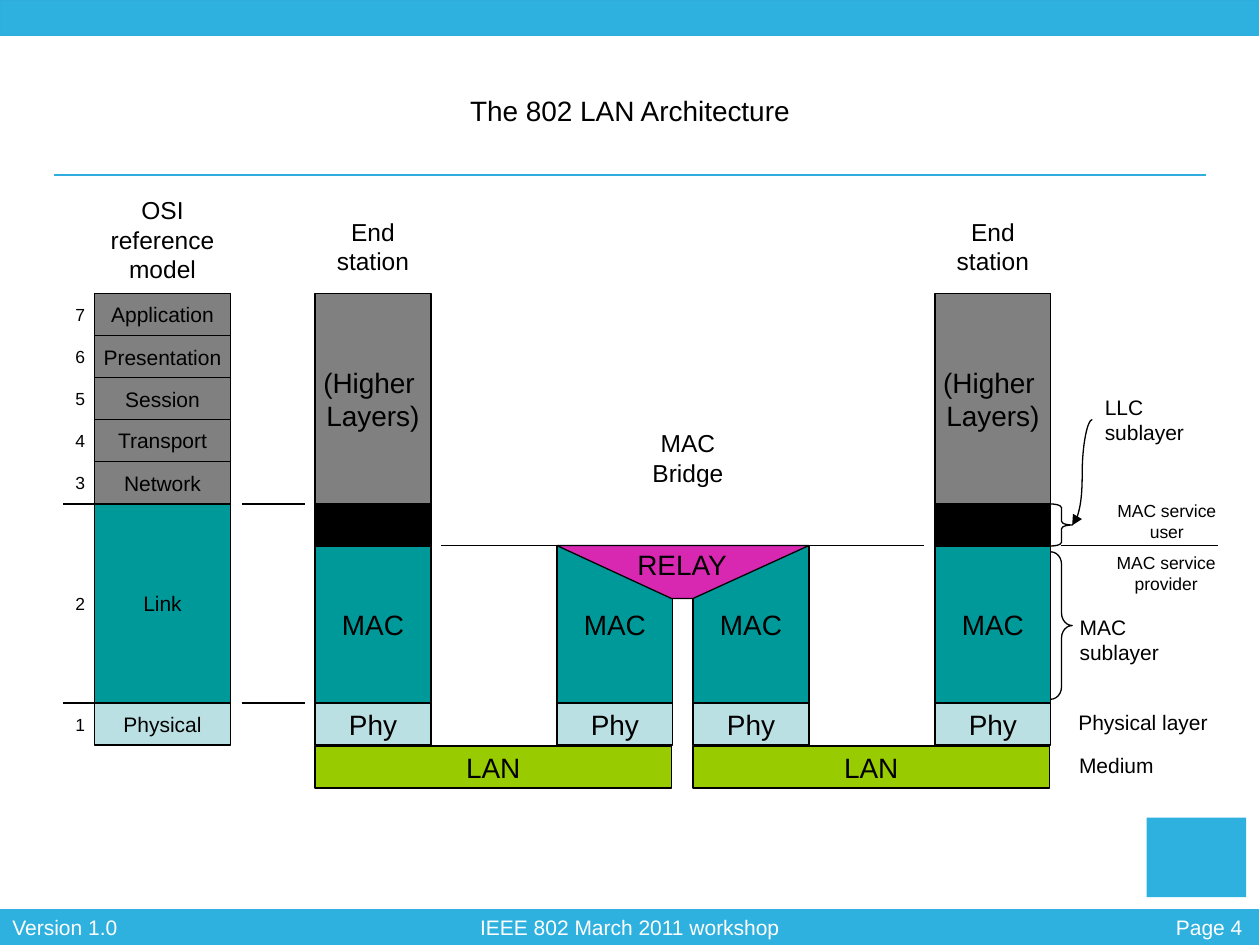
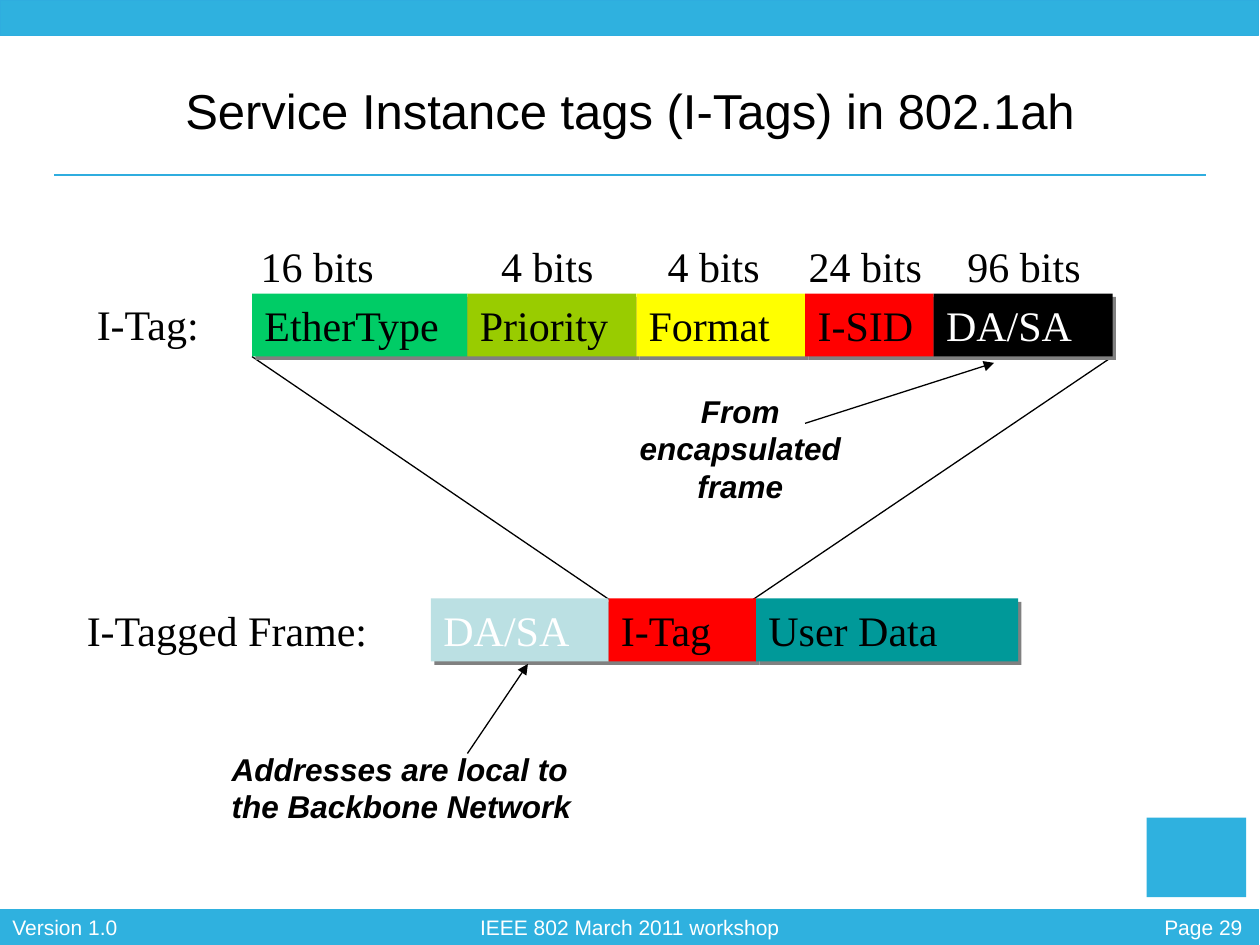
from pptx import Presentation
from pptx.dml.color import RGBColor
from pptx.enum.shapes import MSO_CONNECTOR, MSO_SHAPE
from pptx.enum.text import MSO_ANCHOR, PP_ALIGN
from pptx.oxml.xmlchemy import OxmlElement
from pptx.util import Inches, Pt

COLORS = {
    "band": "2FB1DF", "rule": "2FADDF", "black": "000000", "white": "FFFFFF",
    "higher": "808080", "teal": "009999", "pale": "BBE0E3", "lime": "99CC00",
    "relay": "D828B2", "green": "00CC66", "yellow": "FFFF00", "red": "FF0000",
    "shadow": "808080",
}
SANS, SERIF = "Arial", "Times New Roman"
LEFT, CENTER, RIGHT = PP_ALIGN.LEFT, PP_ALIGN.CENTER, PP_ALIGN.RIGHT

# Layer grid of the architecture page
ROW = 1 / 3
STACK_TOP, LLC_TOP, MAC_TOP, PHY_TOP, LAN_TOP = 2.33, 4, 4.33, 5.58, 5.92
OSI_LEFT, OSI_WIDTH = 0.75, 1.08
STATION_LEFTS, PORT_LEFTS, STACK_WIDTH = (2.5, 7.42), (4.42, 5.5), 0.92


def rgb(name):
    return RGBColor.from_string(COLORS[name])


def write_text(shape, text, size, font=SANS, color="black", align=LEFT,
               anchor=MSO_ANCHOR.TOP, wrap=True, emphasis=False):
    frame = shape.text_frame
    frame.text = text
    frame.word_wrap = wrap
    frame.vertical_anchor = anchor
    for paragraph in frame.paragraphs:
        paragraph.alignment = align
        for run in paragraph.runs:
            run.font.name = font
            run.font.size = Pt(size)
            run.font.color.rgb = rgb(color)
            run.font.bold = run.font.italic = emphasis


def add_label(page, left, top, width, height, text, size, **style):
    box = page.shapes.add_textbox(Inches(left), Inches(top), Inches(width), Inches(height))
    write_text(box, text, size, **style)


def paint(shape, fill=None, line=None):
    shape.shadow.inherit = False
    if fill:
        shape.fill.solid()
        shape.fill.fore_color.rgb = rgb(fill)
    else:
        shape.fill.background()
    if line:
        shape.line.color.rgb = rgb(line)
        shape.line.width = Pt(0.75)
    else:
        shape.line.fill.background()


def add_preset(page, left, top, width, height, fill=None, line=None, kind=MSO_SHAPE.RECTANGLE):
    shape = page.shapes.add_shape(kind, Inches(left), Inches(top), Inches(width), Inches(height))
    paint(shape, fill, line)
    return shape


def add_layer(page, left, top, width, height, fill, text="", size=16):
    layer = add_preset(page, left, top, width, height, fill, "black")
    write_text(layer, text, size, align=CENTER, anchor=MSO_ANCHOR.MIDDLE, wrap=False)


def add_brace(page, top, height, curl):
    brace = add_preset(page, 8.34, top, 0.17, height, line="black", kind=MSO_SHAPE.RIGHT_BRACE)
    brace.adjustments[0] = curl


def add_line(page, start, end, color="black", arrow=False, kind=MSO_CONNECTOR.STRAIGHT):
    line = page.shapes.add_connector(kind, *(Inches(value) for value in (*start, *end)))
    line.line.color.rgb = rgb(color)
    line.line.width = Pt(0.75)
    if arrow:
        tail = OxmlElement("a:tailEnd")
        tail.set("type", "triangle")
        line.line._get_or_add_ln().append(tail)
    line._element.spPr.append(OxmlElement("a:effectLst"))


def add_drop_shadow(shape):
    """Give the shape a hard grey shadow to the lower right."""
    shadow = OxmlElement("a:outerShdw")
    shadow.set("dist", str(Pt(2.8)))
    shadow.set("dir", "2700000")
    shadow.set("algn", "ctr")
    shadow.set("rotWithShape", "0")
    color = OxmlElement("a:srgbClr")
    color.set("val", COLORS["shadow"])
    shadow.append(color)
    shape._element.spPr.find(
        "{http://schemas.openxmlformats.org/drawingml/2006/main}effectLst").append(shadow)


def add_fields(page, left, top, fields):
    """Lay frame fields (text, width, fill, font colour) side by side."""
    for text, width, fill, color in fields:
        field = add_preset(page, left, top, width, 0.5, fill)
        add_drop_shadow(field)
        write_text(field, text, 24, font=SERIF, color=color, anchor=MSO_ANCHOR.MIDDLE)
        left += width


def add_page(deck, title, title_size, number):
    """Add a page with the bands, title, rule and footer that all pages share."""
    page = deck.slides.add_slide(deck.slide_layouts[6])
    add_preset(page, 0, 7.22, 9.99, 0.28, "band", "band")
    add_preset(page, 0, 0, 9.99, 0.28, "band", "rule")
    add_line(page, (0.43, 1.39), (9.57, 1.39), "rule")
    for left, width, text, align in (
        (8.7, 1.26, f"Page {number}", RIGHT),
        (0, 1.04, "Version 1.0", LEFT),
        (0, 10, "IEEE 802 March 2011 workshop", CENTER),
    ):
        add_label(page, left, 7.21, width, 0.3, text, 12, color="white", align=align, wrap=False)
    add_preset(page, 9.1, 6.49, 0.79, 0.63, "band")
    add_label(page, 0.5, 0.44, 9, 0.87, title, title_size, align=CENTER,
              anchor=MSO_ANCHOR.MIDDLE)
    return page


def add_osi_model(page):
    add_label(page, OSI_LEFT, 1.5, OSI_WIDTH, 0.8, "OSI reference model", 14, align=CENTER)
    upper_layers = ("Application", "Presentation", "Session", "Transport", "Network")
    layers = [(name, STACK_TOP + index * ROW, ROW, "higher")
              for index, name in enumerate(upper_layers)]
    layers += [("Link", LLC_TOP, PHY_TOP - LLC_TOP, "teal"), ("Physical", PHY_TOP, ROW, "pale")]
    for index, (name, top, height, fill) in enumerate(layers):
        add_layer(page, OSI_LEFT, top, OSI_WIDTH, height, fill, name, 12)
        add_label(page, 0.5, top, 0.31, height, str(7 - index), 10,
                  anchor=MSO_ANCHOR.MIDDLE)
    for level in (LLC_TOP, PHY_TOP):
        add_line(page, (0.5, level), (0.83, level))
        add_line(page, (1.92, level), (2.42, level))


def add_relay(page):
    points = [(Inches(x), Inches(y)) for x, y in
              ((4.42, MAC_TOP), (6.42, MAC_TOP), (5.5, 4.75), (5.33, 4.75))]
    outline = page.shapes.build_freeform(*points[0])
    outline.add_line_segments(points[1:], close=True)
    paint(outline.convert_to_shape(), "relay", "black")
    add_label(page, 4.96, 4.3, 0.93, 0.37, "RELAY", 16, wrap=False)


def add_stations_and_bridge(page):
    for left in STATION_LEFTS + PORT_LEFTS:
        add_layer(page, left, PHY_TOP, STACK_WIDTH, ROW, "pale", "Phy")
        add_layer(page, left, MAC_TOP, STACK_WIDTH, PHY_TOP - MAC_TOP, "teal", "MAC")
    for left in STATION_LEFTS:
        add_layer(page, left, LLC_TOP, STACK_WIDTH, ROW, "black")
        add_layer(page, left, STACK_TOP, STACK_WIDTH, LLC_TOP - STACK_TOP, "higher",
                  "(Higher \nLayers)")
        add_label(page, left - 0.08, 1.67, 1.08, 0.57, "End station", 14, align=CENTER)
    add_relay(page)
    add_label(page, 4.92, 3.35, 1.08, 0.57, "MAC Bridge", 14, align=CENTER)
    for left in (2.5, 5.5):
        add_layer(page, left, LAN_TOP, 2.83, ROW, "lime", "LAN")
    for start, end in ((3.5, 7.33), (8.42, 9.67)):
        add_line(page, (start, MAC_TOP), (end, MAC_TOP))


def add_sublayer_notes(page):
    add_brace(page, 4.38, 1.17, 0.58)
    add_brace(page, LLC_TOP, ROW, 0.17)
    add_line(page, (8.67, 3.33), (8.51, 4.17), arrow=True, kind=MSO_CONNECTOR.CURVE)
    for left, top, width, height, text, size, align in (
        (8.67, 3.08, 0.83, 0.5, "LLC sublayer", 12, LEFT),
        (8.72, 3.92, 1.08, 0.43, "MAC service\nuser", 10, CENTER),
        (8.67, 4.33, 1.17, 0.43, "MAC service\vprovider", 10, CENTER),
        (8.47, 4.83, 0.92, 0.5, "MAC sublayer", 12, LEFT),
        (8.46, 5.58, 1.33, 0.3, "Physical layer", 12, LEFT),
        (8.4, 5.92, 0.92, 0.3, "Medium", 12, CENTER),
    ):
        add_label(page, left, top, width, height, text, size, align=align)


def build_architecture_page(deck):
    page = add_page(deck, "The 802 LAN Architecture", 16, 4)
    add_osi_model(page)
    add_stations_and_bridge(page)
    add_sublayer_notes(page)


def build_tag_page(deck):
    page = add_page(deck, "Service Instance tags (I-Tags) in 802.1ah", 28, 29)
    add_line(page, (2, 2.83), (4.97, 4.85))
    add_line(page, (8.83, 2.83), (5.84, 4.85))
    add_fields(page, 2, 2.33, (
        ("EtherType", 1.71, "green", "black"),
        ("Priority", 1.34, "lime", "black"),
        ("Format", 1.34, "yellow", "black"),
        ("I-SID", 1.02, "red", "black"),
        ("DA/SA", 1.42, "black", "white"),
    ))
    add_fields(page, 3.42, 4.75, (
        ("DA/SA", 1.41, "pale", "white"),
        ("I-Tag", 1.17, "red", "black"),
        ("User Data", 2.08, "teal", "black"),
    ))
    for left, top, width, text in (
        (0.67, 2.32, 1.03, "I-Tag:"),
        (0.59, 4.75, 2.45, "I-Tagged Frame:"),
        (1.97, 1.86, 1.1, "16 bits"),
        (3.88, 1.86, 0.93, "4 bits"),
        (5.2, 1.86, 0.93, "4 bits"),
        (6.32, 1.86, 1.1, "24 bits"),
        (7.58, 1.86, 1.1, "96 bits"),
    ):
        add_label(page, left, top, width, 0.5, text, 24, font=SERIF, wrap=False)
    add_line(page, (6.39, 3.36), (7.89, 2.88), arrow=True)
    add_label(page, 4.97, 3.06, 1.81, 1, "From\nencapsulated\nframe", 18,
              align=CENTER, emphasis=True)
    add_line(page, (3.71, 5.98), (4.19, 5.27), arrow=True)
    add_label(page, 1.74, 5.9, 2.91, 0.7, "Addresses are local to\nthe Backbone Network", 18,
              emphasis=True)


def main():
    deck = Presentation()
    deck.slide_width, deck.slide_height = Inches(10), Inches(7.5)
    build_architecture_page(deck)
    build_tag_page(deck)
    deck.save("out.pptx")


if __name__ == "__main__":
    main()
